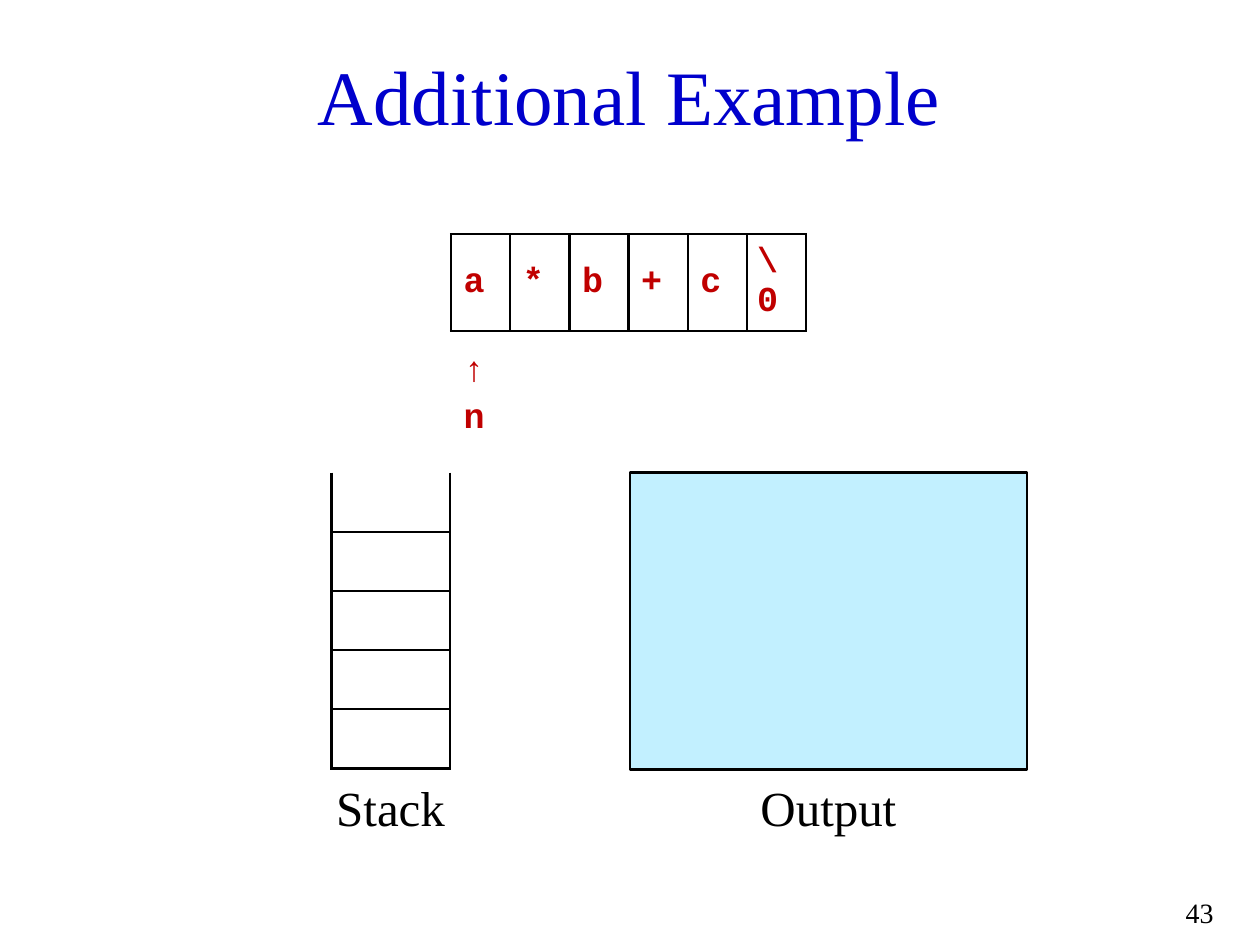
from pptx import Presentation
from pptx.dml.color import RGBColor
from pptx.enum.shapes import MSO_SHAPE
from pptx.enum.text import MSO_ANCHOR, PP_ALIGN
from pptx.oxml.ns import qn
from pptx.util import Inches, Pt
from lxml.etree import SubElement

BLACK = RGBColor(0, 0, 0)
BLUE = RGBColor(0, 0, 0xCC)
RED = RGBColor(0xC0, 0, 0)
SKY = RGBColor(0xC2, 0xF0, 0xFF)
SIDE = 0.47
TOP, BASE = 3.75, 6.12
CODE = {"name": "Courier New", "size": Pt(20), "bold": True}


class Deck:
    def __init__(self):
        self.show = Presentation()
        self.show.slide_width = Inches(10)
        self.show.slide_height = Inches(7.5)
        self.slide = self.show.slides.add_slide(self.show.slide_layouts[6])

    def style(self, font, form, color):
        for key, value in form.items():
            setattr(font, key, value)
        font.color.rgb = color

    def text(self, words, box, size, color=BLACK,
             align=PP_ALIGN.CENTER, anchor=MSO_ANCHOR.TOP):
        frame = self.slide.shapes.add_textbox(*map(Inches, box)).text_frame
        frame.word_wrap = True
        frame.vertical_anchor = anchor
        para = frame.paragraphs[0]
        para.text = words
        para.alignment = align
        self.style(para.font, {"name": "Times New Roman", "size": Pt(size)}, color)

    def panel(self, box, fill):
        shape = self.slide.shapes.add_shape(MSO_SHAPE.RECTANGLE, *map(Inches, box))
        shape.shadow.inherit = False
        shape.fill.solid()
        shape.fill.fore_color.rgb = fill
        shape.line.color.rgb = BLACK
        shape.line.width = Pt(1.5)

    def edge(self, cell, sides):
        props = cell._tc.get_or_add_tcPr()
        for spot, side in enumerate("LRTB"):
            line = SubElement(props, qn(f"a:ln{side}"), w=str(Pt(1.5)))
            if side in sides:
                fill = SubElement(line, qn("a:solidFill"))
                SubElement(fill, qn("a:srgbClr"), val=str(BLACK))
            else:
                SubElement(line, qn("a:noFill"))
            props.insert(spot, line)

    def table(self, rows, left, top, width, sides):
        size = len(rows), len(rows[0])
        box = left, top, width * size[1], SIDE * size[0]
        grid = self.slide.shapes.add_table(*size, *map(Inches, box)).table
        grid.first_row = grid.horz_banding = False
        for col in grid.columns:
            col.width = Inches(width)
        for row, words, edges in zip(grid.rows, rows, sides):
            row.height = Inches(SIDE)
            for cell, word in zip(row.cells, words):
                cell.fill.background()
                self.edge(cell, edges)
                if word:
                    cell.text = word
                    cell.vertical_anchor = MSO_ANCHOR.MIDDLE
                    self.style(cell.text_frame.paragraphs[0].runs[0].font, CODE, RED)
        return grid


def main():
    deck = Deck()
    deck.text("Additional Example", (0.43, 0.28, 9.13, 0.94), 44, BLUE,
              anchor=MSO_ANCHOR.MIDDLE)
    deck.text("43", (9.1, 7.06, 0.63, 0.32), 16, align=PP_ALIGN.RIGHT)

    chars = ["a", "*", "b", "+", "c", "\\0"]
    rest = [""] * (len(chars) - 1)
    tape = deck.table([chars, ["↑"] + rest, ["n"] + rest],
                      3.58, 1.86, SIDE, ["LRTB", "T", ""])
    last, arrow, name = tape.cell(0, len(rest)), tape.cell(1, 0), tape.cell(2, 0)
    last.margin_left = last.margin_right = Inches(0.08)
    arrow.margin_top, arrow.margin_bottom = Inches(0.16), Inches(0)
    name.vertical_anchor = MSO_ANCHOR.TOP

    deck.table([[""]] * 5, 2.63, TOP, 2 * SIDE, ["LRB"] + ["LRTB"] * 4)
    deck.panel((5, TOP, 3.15, 2.36), SKY)
    deck.text("Output", (5.79, BASE, 1.57, 0.63), 28)
    deck.text("Stack", (2.47, BASE, 1.26, 0.63), 28)
    deck.show.save("out.pptx")


if __name__ == "__main__":
    main()
